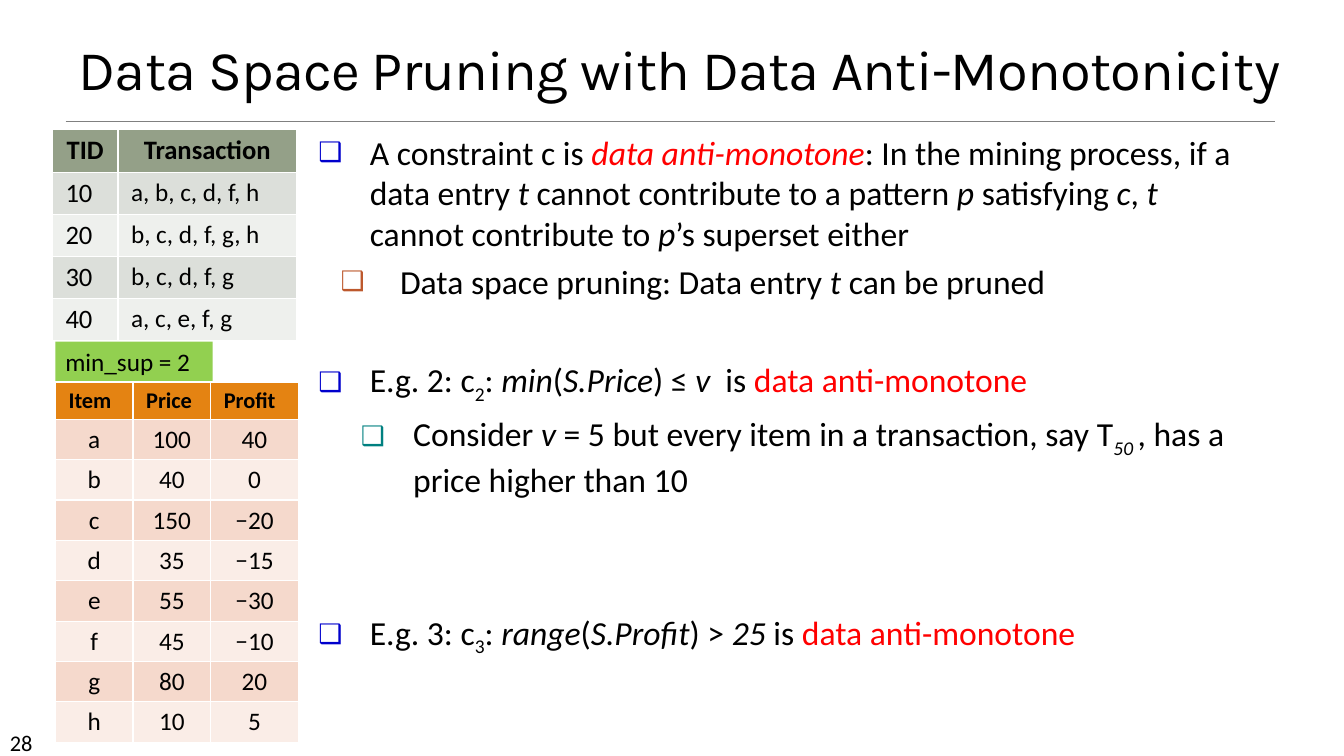
from lxml import etree
from pptx import Presentation
from pptx.dml.color import RGBColor
from pptx.enum.shapes import MSO_CONNECTOR, MSO_SHAPE
from pptx.enum.text import MSO_ANCHOR, PP_ALIGN
from pptx.oxml.ns import qn
from pptx.util import Inches, Pt

LEFT, CENTER = PP_ALIGN.LEFT, PP_ALIGN.CENTER
TOP, BOTTOM = MSO_ANCHOR.TOP, MSO_ANCHOR.BOTTOM
BLACK, RED = "000000", "FF0000"

TITLE = "Data Space Pruning with Data Anti-Monotonicity"
SLIDE_NUMBER = "28"
MIN_SUPPORT = "min_sup = 2"

# Run styles: i italic, r red, s subscript
STYLES = {"i": {"italic": True}, "r": {"color": RED}, "s": {"baseline": -25000}}

# Bullet levels: text indent, hanging indent, bullet colour
TOPIC = (0.51, 0.51, "0000CC")
REMARK = (0.81, 0.59, "BD582C")
DETAIL = (0.94, 0.52, "008080")

# Level, space before in points, runs of (text, style)
BODY = [
    (TOPIC, 6, [("A constraint c is ", ""), ("data anti-monotone", "ri"),
                (": In the mining process, if a data entry ", ""), ("t", "i"),
                (" cannot contribute to a pattern ", ""), ("p", "i"),
                (" satisfying ", ""), ("c", "i"), (", ", ""), ("t", "i"),
                (" cannot contribute to ", ""), ("p", "i"),
                ("’s superset either", "")]),
    (REMARK, 6, [("Data space pruning: Data entry ", ""), ("t", "i"),
                 (" can be pruned", "")]),
    (TOPIC, 41, [("E.g. 2: c", ""), ("2", "s"), (": ", ""), ("min", "i"),
                 ("(", ""), ("S.Price", "i"), (") ≤", ""), (" v  ", "i"),
                 ("is ", ""), ("data anti-monotone", "r")]),
    (DETAIL, 6, [("Consider ", ""), ("v ", "i"),
                 ("= 5 but every item in a transaction, say T", ""),
                 ("50 ", "is"), (", has a price higher than 10", "")]),
    (TOPIC, 80, [("E.g. 3: c", ""), ("3", "s"), (": ", ""), ("range", "i"),
                 ("(", ""), ("S.Profit", "i"), (") > ", ""), ("25", "i"),
                 (" is ", ""), ("data anti-monotone", "r")]),
]

TRANSACTIONS = {
    "at": (0.52, 1.28), "cols": (0.65, 1.77), "head_height": 0.43, "row_height": 0.38,
    "fills": ("94A088", "DCDFDA", "EEF0ED"),
    "head_size": 19, "sizes": (19, 18), "head_align": CENTER, "align": LEFT,
    "rows": [("TID", "Transaction"), ("10", "a, b, c, d, f, h"),
             ("20", "b, c, d, f, g, h"), ("30", "b, c, d, f, g"),
             ("40", "a, c, e, f, g")],
}
ITEMS = {
    "at": (0.55, 3.79), "cols": (0.77, 0.77, 0.87), "head_height": 0.37, "row_height": 0.4,
    "fills": ("E48312", "F5D9CC", "FAEDE7"),
    "head_size": 16, "sizes": (18, 18, 18), "head_align": LEFT, "align": CENTER,
    "rows": [("Item", "Price", "Profit"), ("a", "100", "40"), ("b", "40", "0"),
             ("c", "150", "−20"), ("d", "35", "−15"), ("e", "55", "−30"),
             ("f", "45", "−10"), ("g", "80", "20"), ("h", "10", "5")],
}


def rgb(value):
    return RGBColor.from_string(value)


def add_run(p, text, size, font="Calibri", color=BLACK, baseline=None, **font_values):
    r = p.add_run()
    r.text = text
    r.font.color.rgb = rgb(color)
    values = {"size": Pt(size), "name": font, **font_values}
    for name, value in values.items():
        setattr(r.font, name, value)
    if baseline:
        r.font._element.set("baseline", str(baseline))
    return r


def add_text_box(s, box, anchor=TOP):
    tf = s.shapes.add_textbox(*map(Inches, box)).text_frame
    tf.word_wrap = True
    tf.vertical_anchor = anchor
    return tf


def set_bullet(p, indent, hanging, color):
    pPr = p._p.get_or_add_pPr()
    pPr.set("marL", str(Inches(indent)))
    pPr.set("indent", str(-Inches(hanging)))
    bullet_color = etree.SubElement(pPr, qn("a:buClr"))
    etree.SubElement(bullet_color, qn("a:srgbClr"), val=color)
    etree.SubElement(pPr, qn("a:buSzPct"), val="80000")
    etree.SubElement(pPr, qn("a:buFont"), typeface="Calibri")
    etree.SubElement(pPr, qn("a:buChar"), char="❑")


def add_body(s):
    tf = add_text_box(s, (3.06, 1.26, 9.4, 5.37))
    for i, (level, space, runs) in enumerate(BODY):
        p = tf.add_paragraph() if i else tf.paragraphs[0]
        p.space_before = Pt(space)
        set_bullet(p, *level)
        for text, style in runs:
            values = {}
            for key in style:
                values.update(STYLES[key])
            add_run(p, text, 24, **values)


def add_data_table(s, data):
    rows, cols = data["rows"], data["cols"]
    heights = [data["head_height"]] + [data["row_height"]] * (len(rows) - 1)
    box = (*data["at"], sum(cols), sum(heights))
    table = s.shapes.add_table(len(rows), len(cols), *map(Inches, box)).table
    for column, width in zip(table.columns, cols):
        column.width = Inches(width)
    for i, values in enumerate(rows):
        table.rows[i].height = Inches(heights[i])
        head = i == 0
        fill = data["fills"][0 if head else 2 - i % 2]
        for j, text in enumerate(values):
            cell = table.cell(i, j)
            cell.margin_left = cell.margin_right = Inches(0.13)
            cell.fill.solid()
            cell.fill.fore_color.rgb = rgb(fill)
            p = cell.text_frame.paragraphs[0]
            p.alignment = data["head_align" if head else "align"]
            size = data["head_size"] if head else data["sizes"][j]
            add_run(p, text, size, bold=head)


def add_title(s):
    rule = s.shapes.add_connector(MSO_CONNECTOR.STRAIGHT, *map(Inches, (0.65, 1.2, 12.65, 1.2)))
    rule.line.color.rgb = rgb("808080")
    rule.line.width = Pt(0.5)
    etree.SubElement(rule._element.spPr, qn("a:effectLst"))
    p = add_text_box(s, (0.66, 0.28, 12.16, 0.78), BOTTOM).paragraphs[0]
    p.alignment = CENTER
    p.line_spacing = 0.85
    r = add_run(p, TITLE, 40, "Karla")
    r.font._element.set("spc", "-50")


def add_min_support(s):
    label = s.shapes.add_shape(MSO_SHAPE.RECTANGLE, *map(Inches, (0.55, 3.39, 1.56, 0.4)))
    label.shadow.inherit = False
    label.fill.solid()
    label.fill.fore_color.rgb = rgb("92D050")
    label.line.fill.background()
    tf = label.text_frame
    tf.vertical_anchor = TOP
    tf.paragraphs[0].alignment = LEFT
    add_run(tf.paragraphs[0], MIN_SUPPORT, 18)


def main():
    prs = Presentation()
    prs.slide_width, prs.slide_height = Inches(13.33), Inches(7.5)
    s = prs.slides.add_slide(prs.slide_layouts[6])
    add_title(s)
    add_run(add_text_box(s, (0, 7.18, 1.17, 0.3)).paragraphs[0], SLIDE_NUMBER, 16)
    add_body(s)
    add_min_support(s)
    for data in (TRANSACTIONS, ITEMS):
        add_data_table(s, data)
    prs.save("out.pptx")


if __name__ == "__main__":
    main()
